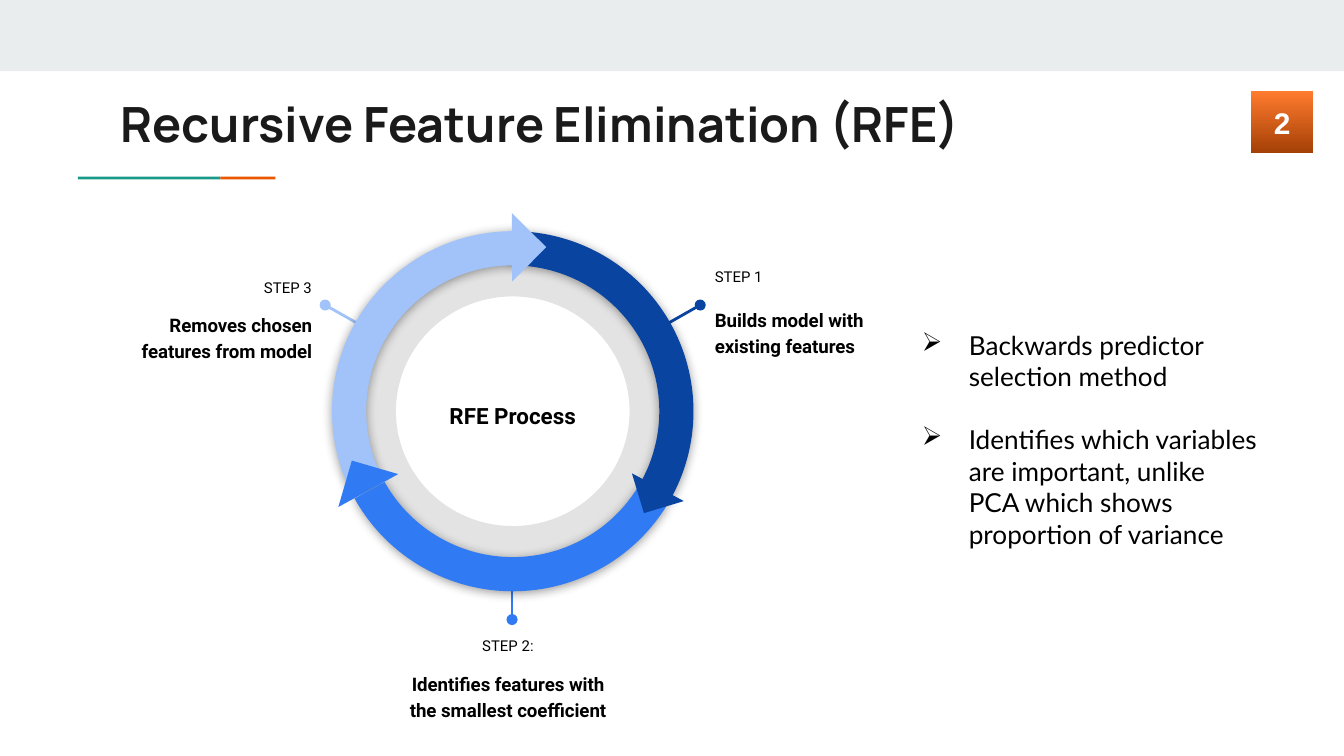
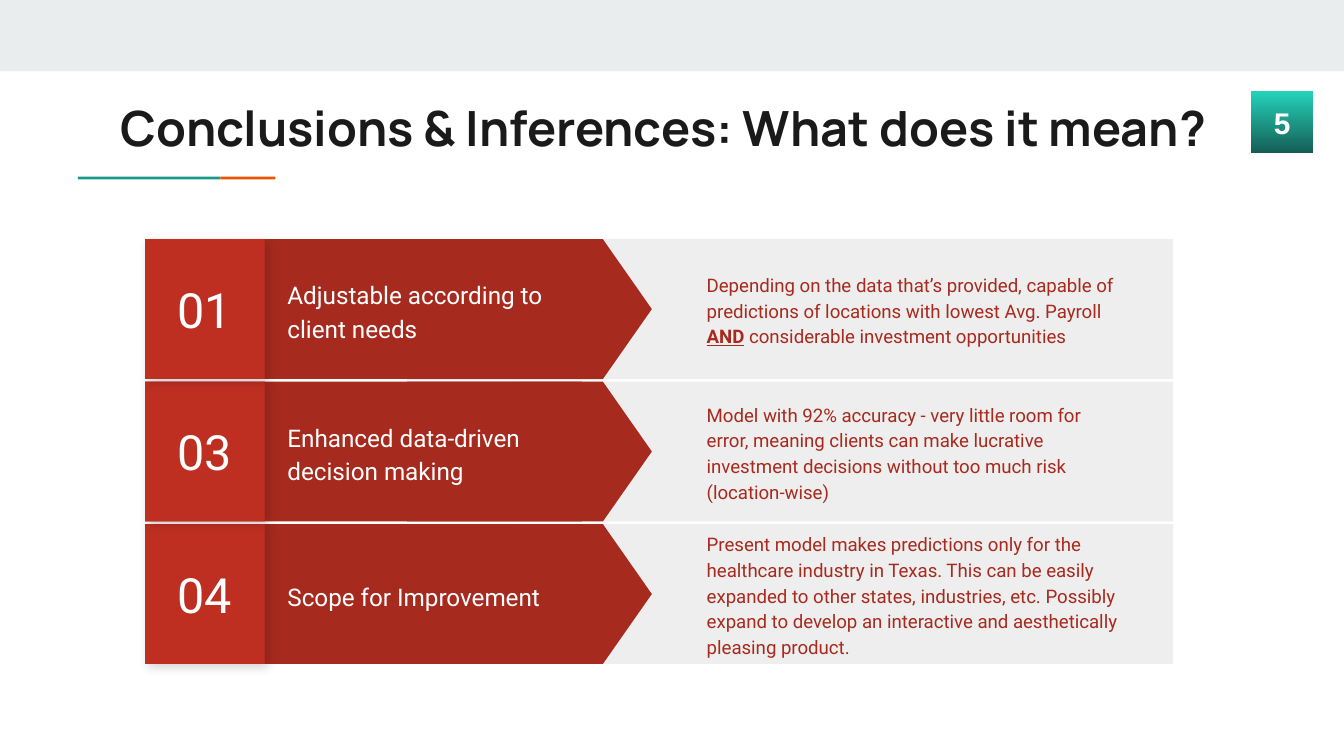
from typing import NamedTuple, Optional

from lxml.etree import SubElement
from pptx import Presentation
from pptx.dml.color import RGBColor
from pptx.enum.shapes import MSO_CONNECTOR as CONN, MSO_SHAPE as SHAPE
from pptx.enum.text import MSO_ANCHOR as ANCHOR, PP_ALIGN as ALIGN
from pptx.oxml.ns import qn
from pptx.util import Emu, Inches, Pt

# The slide is a grid of 100 columns; rows are as tall as columns are wide
WIDTH, HEIGHT = Inches(10), Inches(5.625)
UNIT = WIDTH / 100

COLORS = {
    "band": "E9EDEE", "title": "1A1A1A", "black": "000000", "white": "FFFFFF",
    "teal": "1A9988", "orange": "EB5600",
    "navy": "0944A1", "blue": "307BF3", "sky": "A1C3FA",
    "panel": "EEEEEE", "brick": "A72A1E", "red": "BE2F22", "under": "B02C20",
    "orange_top": "FF7B2E", "orange_end": "A44006",
    "teal_top": "24D2BA", "teal_end": "155E54",
}


class Box(NamedTuple):
    col: float
    row: float
    cols: float
    rows: float


class Shadow(NamedTuple):
    alpha: int
    blur: float
    dist: float
    angle: int


class Arc(NamedTuple):
    color: str
    start: float
    end: float


class Head(NamedTuple):
    color: str
    box: Box
    rotation: float


class Step(NamedTuple):
    label: str
    text: str
    box: Box
    align: ALIGN
    gap: float
    color: str
    dot: tuple
    tip: tuple


class Conclusion(NamedTuple):
    number: str
    heading: str
    detail: str  # text between asterisks is bold and underlined


RING_SHADOW = Shadow(40, 5.6, 0.8, 90)
TILE_SHADOW = Shadow(17, 5.6, 2.2, 45)


def grid(n: float) -> Emu:
    return Emu(round(n * UNIT))


def place(box: Box) -> list:
    return [grid(n) for n in box]


def rgb(name: str) -> RGBColor:
    return RGBColor.from_string(COLORS[name])


def add_shadow(s, shadow: Shadow) -> None:
    effects = s._element.spPr.find(qn("a:effectLst"))
    outer = SubElement(effects, qn("a:outerShdw"), blurRad=str(Pt(shadow.blur)),
                       dist=str(Pt(shadow.dist)), dir=str(shadow.angle * 60000),
                       algn="ctr", rotWithShape="0")
    clr = SubElement(outer, qn("a:srgbClr"), val=COLORS["black"])
    SubElement(clr, qn("a:alpha"), val=str(shadow.alpha * 1000))


def add_block(slide, kind: SHAPE, box: Box, color: str, *, rotation: float = 0,
              adjust: tuple = (), alpha: Optional[int] = None,
              shadow: Optional[Shadow] = None):
    s = slide.shapes.add_shape(kind, *place(box))
    s.shadow.inherit = False
    s.rotation = rotation
    s.fill.solid()
    s.fill.fore_color.rgb = rgb(color)
    s.line.fill.background()
    for i, value in enumerate(adjust):
        s.adjustments[i] = value
    if alpha is not None:
        clr = s._element.spPr.find(qn("a:solidFill"))[0]
        SubElement(clr, qn("a:alpha"), val=str(alpha * 1000))
    if shadow:
        add_shadow(s, shadow)
    return s


def frame(s, anchor: ANCHOR = ANCHOR.TOP):
    tf = s.text_frame
    tf.word_wrap = True
    tf.vertical_anchor = anchor
    tf.margin_left = tf.margin_right = tf.margin_top = tf.margin_bottom = grid(1)
    return tf


def add_box(slide, box: Box, anchor: ANCHOR = ANCHOR.TOP):
    return frame(slide.shapes.add_textbox(*place(box)), anchor)


def write(tf, text: str, *, size: float, font: str = "Roboto", color: str = "black",
          bold: bool = False, align: ALIGN = ALIGN.LEFT, spacing: float = 1,
          before: float = 0, margin: float = 0, hang: float = 0,
          bullet: str = "") -> None:
    """Append each line of text as a paragraph."""
    for line in text.split("\n"):
        p = tf.paragraphs[-1]
        if p.runs:
            p = tf.add_paragraph()
        p.alignment, p.line_spacing, p.space_before = align, spacing, Pt(before)
        for i, part in enumerate(line.split("*")):
            r = p.add_run()
            r.text = part
            r.font.size, r.font.name = Pt(size), font
            r.font.color.rgb = rgb(color)
            r.font.bold = bold or i % 2 == 1
            r.font.underline = i % 2 == 1
        pPr = p._p.get_or_add_pPr()
        pPr.set("marL", str(grid(margin)))
        pPr.set("indent", str(-grid(hang)))
        if bullet:
            clr = SubElement(pPr, qn("a:buClr"))
            SubElement(clr, qn("a:srgbClr"), val=COLORS[color])
            SubElement(pPr, qn("a:buChar"), char=bullet)


def add_pointer(slide, step: Step) -> None:
    line = slide.shapes.add_connector(CONN.STRAIGHT,
                                      *[grid(n) for n in step.dot + step.tip])
    line.line.color.rgb = rgb(step.color)
    line.line.width = Pt(1.5)
    SubElement(line.line._get_or_add_ln(), qn("a:headEnd"), type="oval")
    SubElement(line._element.spPr, qn("a:effectLst"))


def start_slide(prs, title: str, title_row: float, number: str, badge: str):
    slide = prs.slides.add_slide(prs.slide_layouts[6])
    # Top band and two-colour accent rule
    add_block(slide, SHAPE.RECTANGLE, Box(0, 0, 100, 5.3), "band")
    add_block(slide, SHAPE.RECTANGLE, Box(5.8, 13.15, 10.6, 0.2), "teal")
    add_block(slide, SHAPE.RECTANGLE, Box(16.4, 13.15, 4.1, 0.2), "orange")
    write(add_box(slide, Box(8, title_row, 84.1, 5.9)), title,
          size=26, font="Manrope", color="title", bold=True)
    # Number badge
    s = add_block(slide, SHAPE.FLOWCHART_PROCESS, Box(93.1, 6.8, 4.6, 4.6), badge)
    s.fill.gradient()
    s.fill.gradient_angle = 270
    for stop, end in zip(s.fill.gradient_stops, ("_top", "_end")):
        stop.color.rgb = rgb(badge + end)
    write(frame(s, ANCHOR.MIDDLE), number, size=16, font="Arial", color="white",
          bold=True, align=ALIGN.CENTER)
    return slide


# Process ring: angles in degrees, clockwise from the right
RING = Box(24.7, 17.2, 26.9, 26.8)
RING_PARTS = [
    Arc("navy", 270, 30),
    Arc("sky", 152.4, 271.2),
    Head("sky", Box(36.3, 16.6, 3.6, 3.6), 224.7),
    Arc("blue", 31.3, 151.1),
    Head("navy", Box(47.4, 34.7, 3.1, 3.1), 343.1),
    Head("blue", Box(25.6, 34.7, 3.6, 3.6), 106.2),
]
STEPS = [
    Step("STEP 3", "Removes chosen features from model", Box(9.2, 19.5, 15, 6.6),
         ALIGN.RIGHT, 8, "sky", (24.2, 22.7), (28.6, 25.2)),
    Step("STEP 1", "Builds model with existing features", Box(52.2, 18.7, 15, 6.6),
         ALIGN.LEFT, 11, "navy", (52.1, 22.7), (47.7, 25.2)),
    Step("STEP 2:", "Identifies features with the smallest coefficient",
         Box(28.6, 46.2, 18.4, 6.6),
         ALIGN.CENTER, 8, "blue", (38.1, 46.1), (38.1, 41.5)),
]
POINTS = [
    "Backwards predictor selection method",
    "Identifies which variables are important, unlike PCA which shows "
    "proportion of variance",
]


def build_process(prs) -> None:
    slide = start_slide(prs, "Recursive Feature Elimination (RFE)", 6, "2", "orange")
    add_block(slide, SHAPE.DONUT, Box(25.4, 18, 25.5, 25.2), "black",
              adjust=(0.161,), alpha=11)
    # Steps around the ring
    for step in STEPS:
        add_pointer(slide, step)
        tf = add_box(slide, step.box)
        write(tf, step.label, size=8, align=step.align, spacing=1.15)
        write(tf, step.text, size=10, bold=True, align=step.align, spacing=1.15,
              before=step.gap)
    write(add_box(slide, Box(30.9, 26.8, 14.5, 8), ANCHOR.MIDDLE), "RFE Process",
          size=12, bold=True, align=ALIGN.CENTER, spacing=1.15)
    # Arcs and arrowheads; 0.6 turns degrees into adjustment units
    for part in RING_PARTS:
        if isinstance(part, Arc):
            add_block(slide, SHAPE.BLOCK_ARC, RING, part.color, shadow=RING_SHADOW,
                      adjust=(part.start * 0.6, part.end * 0.6, 0.095))
        else:
            add_block(slide, SHAPE.RIGHT_TRIANGLE, part.box, part.color,
                      rotation=part.rotation)
    # Bullets
    tf = add_box(slide, Box(66.1, 23.5, 28.5, 20.1))
    for i, point in enumerate(POINTS):
        write(tf, point, size=14, font="Lato", margin=5, hang=3.5, bullet="➢",
              before=17 * i)


CONCLUSIONS = [
    Conclusion("01", "Adjustable according to\nclient needs",
               "Depending on the data that’s provided, capable of predictions of "
               "locations with lowest Avg. Payroll *AND* considerable investment "
               "opportunities"),
    Conclusion("03", "Enhanced data-driven decision making",
               "Model with 92% accuracy - very little room for error, meaning "
               "clients can make lucrative investment decisions without too much "
               "risk (location-wise)"),
    Conclusion("04", "Scope for Improvement",
               "Present model makes predictions only for the healthcare industry "
               "in Texas. This can be easily expanded to other states, industries, "
               "etc. Possibly expand to develop an interactive and aesthetically "
               "pleasing product."),
]
FIRST_ROW, ROW_STEP, ROW_HEIGHT = 17.8, 10.6, 10.4


def add_conclusion(slide, item: Conclusion, top: float) -> None:
    tile = Box(10.8, top, 8.9, ROW_HEIGHT)
    add_block(slide, SHAPE.RECTANGLE, Box(38.2, top, 49.1, ROW_HEIGHT), "panel")
    add_block(slide, SHAPE.RECTANGLE, Box(19.6, top, 23.7, ROW_HEIGHT), "brick")
    # Arrow turned to point right
    add_block(slide, SHAPE.FLOWCHART_OFFPAGE_CONNECTOR,
              Box(34.2, top - 3.9, ROW_HEIGHT, 18.2), "brick", rotation=270)
    write(add_box(slide, Box(20.4, top + 1.25, 24.9, 8), ANCHOR.MIDDLE),
          item.heading, size=13, color="white", spacing=1.15)
    add_block(slide, SHAPE.RECTANGLE, tile, "under", shadow=TILE_SHADOW)
    s = add_block(slide, SHAPE.RECTANGLE, tile, "red")
    write(frame(s, ANCHOR.MIDDLE), item.number, size=26, color="white",
          align=ALIGN.CENTER)
    write(add_box(slide, Box(46.6, top, 38.1, ROW_HEIGHT), ANCHOR.MIDDLE),
          item.detail, size=10, color="brick", spacing=1.15, margin=5)


def build_conclusions(prs) -> None:
    slide = start_slide(prs, "Conclusions & Inferences: What does it mean?", 6.3,
                        "5", "teal")
    # Bottom row first, so that shadows fall behind the rows above
    for i, item in reversed(list(enumerate(CONCLUSIONS))):
        add_conclusion(slide, item, FIRST_ROW + i * ROW_STEP)


def main() -> None:
    prs = Presentation()
    prs.slide_width, prs.slide_height = WIDTH, HEIGHT
    build_process(prs)
    build_conclusions(prs)
    prs.save("out.pptx")


if __name__ == "__main__":
    main()
